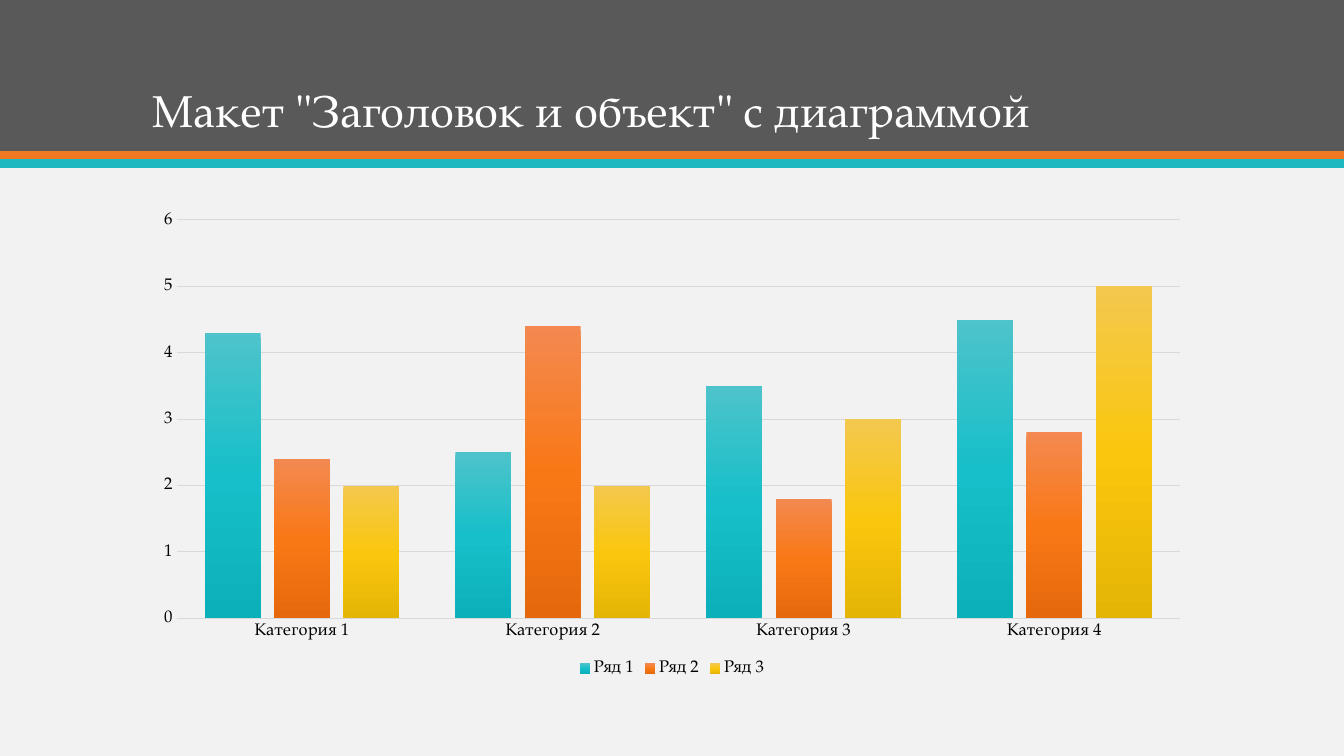
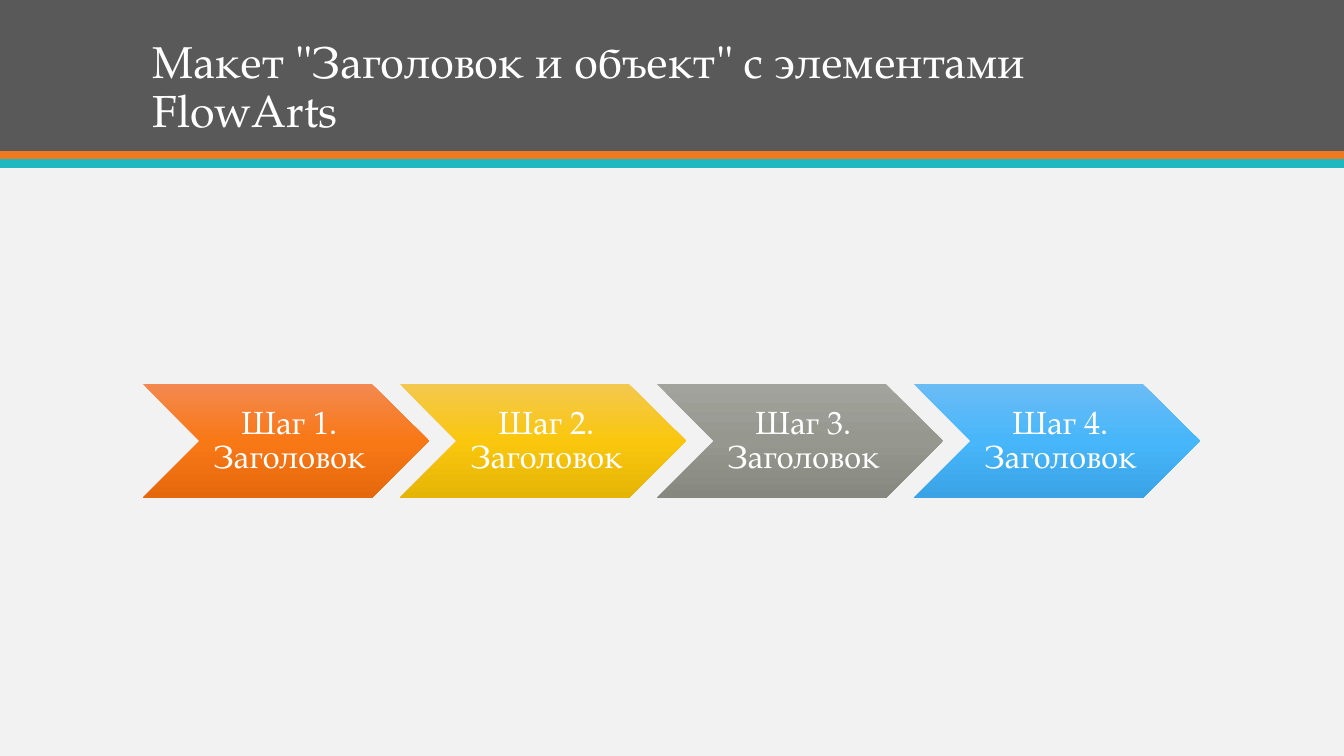
from copy import deepcopy

from pptx import Presentation
from pptx.chart.data import CategoryChartData
from pptx.dml.color import RGBColor
from pptx.enum.chart import XL_CHART_TYPE as ChartType, XL_LEGEND_POSITION as LegendPos
from pptx.enum.chart import XL_TICK_MARK as TickMark
from pptx.enum.shapes import MSO_SHAPE as Shape
from pptx.enum.text import MSO_ANCHOR as Anchor, PP_ALIGN as Align
from pptx.util import Emu, Pt

WIDTH, HEIGHT = 1344, 756
EMU_PER_PX = 12192000 / WIDTH
FONT = "TeX Gyre Pagella"
COLORS = {
    "background": "F2F2F2",
    "header": "595959",
    "orange band": "EF7920",
    "teal band": "1EB8C1",
    "grid": "D9D9D9",
    "white": "FFFFFF",
    "black": "000000",
}
GRADIENTS = {
    "teal": ("4EC3CB", "16BFC9", "0CB0BA"),
    "orange": ("F38950", "F97816", "E5690C"),
    "yellow": ("F3C84E", "FAC70E", "E5B506"),
    "gray": ("A2A39C", "969890", "86887F"),
    "blue": ("6ABCF5", "48B6FA", "39A3E5"),
}
BANDS = [("header", 0, 151), ("orange band", 151, 9), ("teal band", 159, 9)]
CONTENT_LEFT, CONTENT_WIDTH = 143, 1058


def px(*lengths):
    return [Emu(round(length * EMU_PER_PX)) for length in lengths]


def fill_gradient(fill, name):
    """Fill from top to bottom with the three evenly spaced colours of a gradient."""
    fill.gradient()
    fill.gradient_angle = 270
    last_stop = fill.gradient_stops[1]._gs
    last_stop.addprevious(deepcopy(last_stop))
    for stop, position, color in zip(fill.gradient_stops, (0, 0.5, 1), GRADIENTS[name]):
        stop.position = position
        stop.color.rgb = RGBColor.from_string(color)


prs = Presentation()
prs.slide_width, prs.slide_height = px(WIDTH, HEIGHT)
background = prs.slide_master.background.fill
background.solid()
background.fore_color.rgb = RGBColor.from_string(COLORS["background"])

# Bands and title of every slide
titles = [
    'Макет "Заголовок и объект" с диаграммой',
    'Макет "Заголовок и объект" с элементами FlowArts',
]
slides = []
for title in titles:
    slide = prs.slides.add_slide(prs.slide_layouts[6])
    slides.append(slide)
    for color, top, height in BANDS:
        band = slide.shapes.add_shape(Shape.RECTANGLE, *px(0, top, WIDTH, height))
        band.shadow.inherit = False
        band.fill.solid()
        band.fill.fore_color.rgb = RGBColor.from_string(COLORS[color])
        band.line.fill.background()

    heading = slide.shapes.add_textbox(*px(CONTENT_LEFT, 28, CONTENT_WIDTH, 114)).text_frame
    heading.word_wrap = True
    heading.vertical_anchor = Anchor.BOTTOM
    paragraph = heading.paragraphs[0]
    paragraph.line_spacing = 0.9
    run = paragraph.add_run()
    run.text = title
    run.font.size = Pt(32)
    run.font.name = FONT
    run.font.color.rgb = RGBColor.from_string(COLORS["white"])

chart_slide, steps_slide = slides

# Column chart
series_rows = [
    ("Ряд 1", (4.3, 2.5, 3.5, 4.5), "teal"),
    ("Ряд 2", (2.4, 4.4, 1.8, 2.8), "orange"),
    ("Ряд 3", (2, 2, 3, 5), "yellow"),
]
data = CategoryChartData()
data.categories = [f"Категория {number}" for number in range(1, 5)]
for name, values, _ in series_rows:
    data.add_series(name, values)
chart = chart_slide.shapes.add_chart(
    ChartType.COLUMN_CLUSTERED, *px(CONTENT_LEFT, 202, CONTENT_WIDTH, 479), data
).chart
chart.has_title = False
chart.font.name = FONT
chart.font.size = Pt(12)
chart.font.color.rgb = RGBColor.from_string(COLORS["black"])

chart.has_legend = True
chart.legend.position = LegendPos.BOTTOM
chart.legend.include_in_layout = False

columns = chart.plots[0]
columns.gap_width = 100
columns.overlap = -24
columns.vary_by_categories = False
for series, (_, _, gradient) in zip(columns.series, series_rows):
    fill_gradient(series.format.fill, gradient)
    series.format.line.fill.background()

category_axis, value_axis = chart.category_axis, chart.value_axis
for axis in (category_axis, value_axis):
    axis.major_tick_mark = TickMark.NONE
    axis.minor_tick_mark = TickMark.NONE
value_axis.minimum_scale = 0
value_axis.maximum_scale = 6
value_axis.major_unit = 1
value_axis.has_major_gridlines = True
value_axis.format.line.fill.background()
for line in (category_axis.format.line, value_axis.major_gridlines.format.line):
    line.color.rgb = RGBColor.from_string(COLORS["grid"])
    line.width = Pt(0.75)

# Step chevrons
STEP_WIDTH, STEP_PITCH = 286, 257
for index, gradient in enumerate(("orange", "yellow", "gray", "blue")):
    left = CONTENT_LEFT + index * STEP_PITCH
    step = steps_slide.shapes.add_shape(Shape.CHEVRON, *px(left, 384, STEP_WIDTH, 114))
    step.shadow.inherit = False
    fill_gradient(step.fill, gradient)
    step.line.fill.background()

    label = step.text_frame
    label.word_wrap = True
    label.vertical_anchor = Anchor.MIDDLE
    label.margin_left, label.margin_top, label.margin_right, label.margin_bottom = px(10, 3, 3, 3)
    paragraph = label.paragraphs[0]
    paragraph.alignment = Align.CENTER
    paragraph.line_spacing = 0.9
    run = paragraph.add_run()
    run.text = f"Шаг {index + 1}. Заголовок"
    run.font.size = Pt(23)
    run.font.name = FONT
    run.font.color.rgb = RGBColor.from_string(COLORS["white"])

prs.save("out.pptx")
